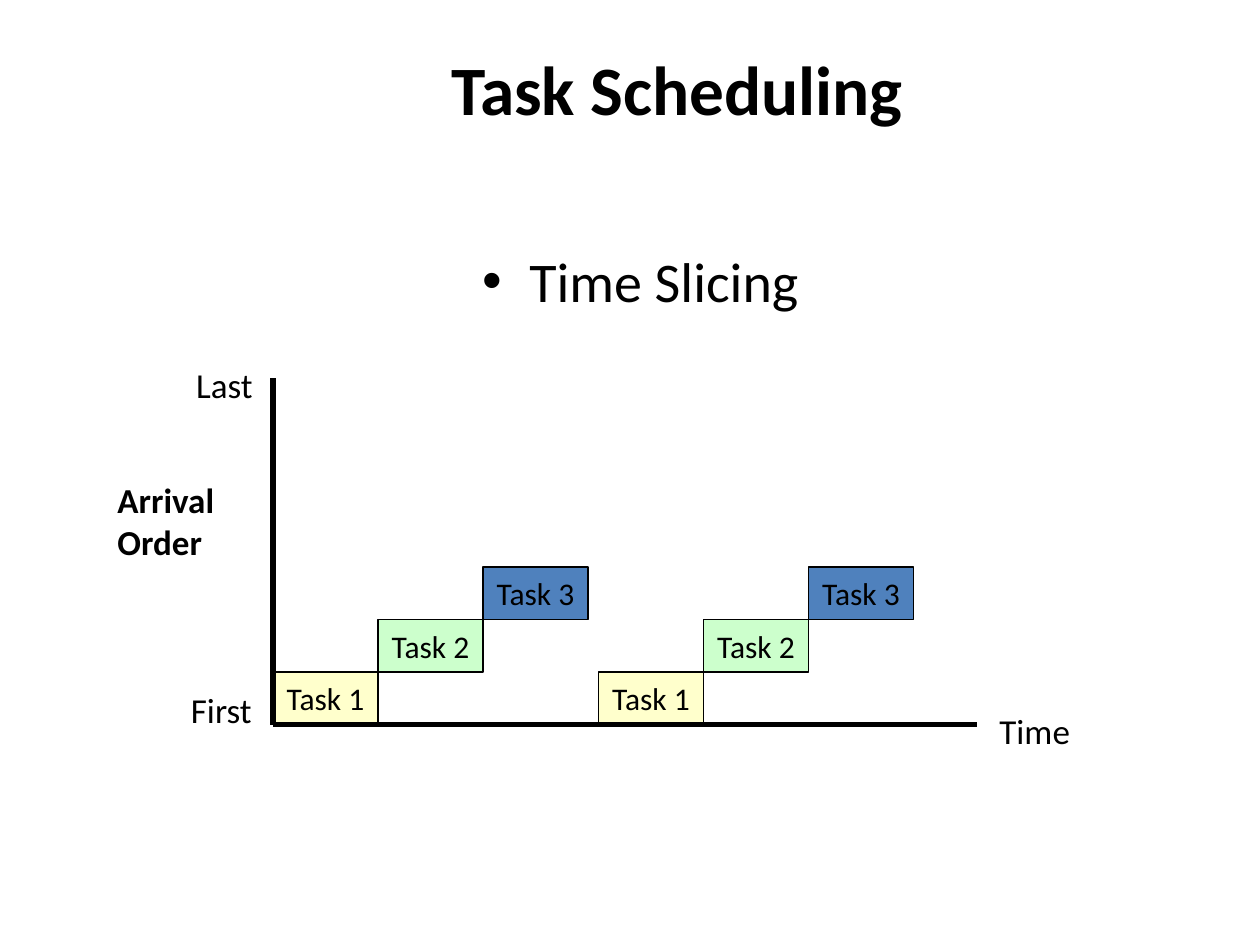
from pptx import Presentation
from pptx.dml.color import RGBColor
from pptx.enum.shapes import MSO_CONNECTOR, MSO_SHAPE
from pptx.enum.text import MSO_ANCHOR, MSO_AUTO_SIZE, PP_ALIGN
from pptx.oxml.ns import qn
from pptx.util import Pt
from lxml import etree

BLACK = RGBColor(0, 0, 0)
YELLOW = RGBColor(0xFF, 0xFF, 0xCC)
GREEN = RGBColor(0xCC, 0xFF, 0xCC)
BLUE = RGBColor(0x4F, 0x81, 0xBD)
RECT = MSO_SHAPE.RECTANGLE
LINE = MSO_CONNECTOR.STRAIGHT
LEFT, CENTER = PP_ALIGN.LEFT, PP_ALIGN.CENTER
MIDDLE = MSO_ANCHOR.MIDDLE
FIXED, GROW = MSO_AUTO_SIZE.NONE, MSO_AUTO_SIZE.SHAPE_TO_FIT_TEXT

TASKS = [("Task 1", YELLOW), ("Task 2", GREEN), ("Task 3", BLUE)]
BOX_W, BOX_H = 60, 30
AXIS_X, AXIS_Y = 156, 414
ROUNDS = [AXIS_X, 342]


class Board:
    """Draws on one slide in a single font and ink; lengths in points."""

    def __init__(self, slide, font="Calibri", ink=BLACK):
        self.slide, self.font, self.ink = slide, font, ink

    def put_text(self, frame, lines, size, bold=False, align=LEFT):
        frame.text = "\n".join(lines)
        for para in frame.paragraphs:
            para.alignment = align
            font = para.font
            font.name, font.size, font.bold = self.font, Pt(size), bold
            font.color.rgb = self.ink

    def place(self, holder, x, y, w, h):
        holder.left, holder.top = Pt(x), Pt(y)
        holder.width, holder.height = Pt(w), Pt(h)
        holder.text_frame.auto_size = FIXED
        return holder.text_frame

    def title(self, text, *area):
        frame = self.place(self.slide.shapes.title, *area)
        frame.vertical_anchor = MIDDLE
        self.put_text(frame, [text], 39.6, True, CENTER)

    def body(self, text, *area):
        frame = self.place(self.slide.placeholders[1], *area)
        frame.margin_top = Pt(27)
        para = frame.paragraphs[0]
        para.space_before = Pt(0)
        props = para._p.get_or_add_pPr()
        props.set("marL", "0")
        props.set("indent", "0")
        etree.SubElement(props, qn("a:buNone"))
        self.put_text(frame, [text], 32, align=CENTER)

    def label(self, lines, x, y, w, h, bold=False, wrap=False):
        box = self.slide.shapes.add_textbox(Pt(x), Pt(y), Pt(w), Pt(h))
        frame = box.text_frame
        frame.word_wrap, frame.auto_size = wrap, GROW
        self.put_text(frame, lines, 20, bold)

    def task(self, name, fill, x, y):
        box = self.slide.shapes.add_shape(
            RECT, Pt(x), Pt(y), Pt(BOX_W), Pt(BOX_H))
        box.shadow.inherit = False
        box.fill.solid()
        box.fill.fore_color.rgb = fill
        box.line.color.rgb, box.line.width = self.ink, Pt(0.75)
        frame = box.text_frame
        frame.word_wrap, frame.vertical_anchor = False, MIDDLE
        self.put_text(frame, [name], 18, align=CENTER)

    def axis(self, *ends):
        line = self.slide.shapes.add_connector(LINE, *map(Pt, ends))
        line.line.color.rgb, line.line.width = self.ink, Pt(3)
        etree.SubElement(line._element.spPr, qn("a:effectLst"))


def main():
    deck = Presentation()
    deck.slide_width, deck.slide_height = Pt(720), Pt(540)
    board = Board(deck.slides.add_slide(deck.slide_layouts[1]))

    board.title("Task Scheduling", 84, 22.5, 606, 55.5)
    # The top inset lowers the heading inside the body area.
    board.body("Time Slicing", 60, 114, 612, 372)

    board.label(["Arrival", "Order"], 60, 270, 84, 55.5, bold=True, wrap=True)
    board.label(["First"], 102, 390, 51, 31)
    board.label(["Last"], 105, 204, 49, 31)
    board.label(["Time"], 564, 402, 57, 31)

    for start in ROUNDS:
        for step, (name, fill) in enumerate(TASKS):
            board.task(name, fill, start + step * BOX_W,
                       AXIS_Y - (step + 1) * BOX_H)

    board.axis(AXIS_X, 216, AXIS_X, AXIS_Y)
    board.axis(AXIS_X, AXIS_Y, 558, AXIS_Y)
    deck.save("out.pptx")


if __name__ == "__main__":
    main()
